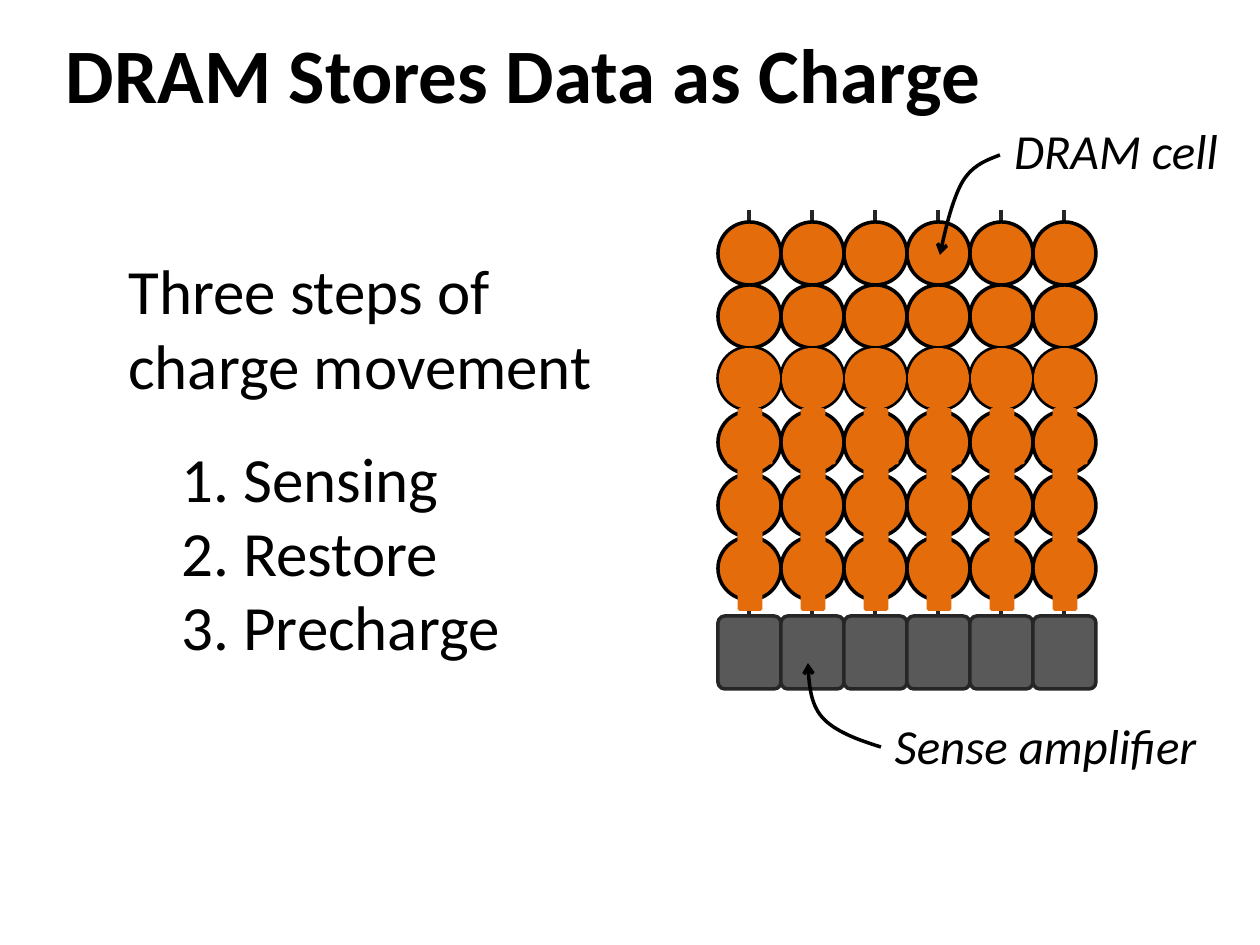
import pptx
import pptx.util
import pptx.dml.color
import pptx.enum.shapes
import pptx.enum.text
import pptx.oxml
import pptx.oxml.ns

SCALE = 914400 / 126
COLS, ROWS, PITCH = 6, 6, 63
LEFT, TOP = 718, 222
MID = LEFT + PITCH // 2
BLACK, EDGE, GRAY, ORANGE, WHITE = "000000", "262626", "595959", "E46C0A", "FFFFFF"
KIND = pptx.enum.shapes.MSO_SHAPE
ALIGN = pptx.enum.text.PP_ALIGN
ANCHOR = pptx.enum.text.MSO_ANCHOR


def px(value):
    return round(value * SCALE)


def color(code):
    return pptx.dml.color.RGBColor.from_string(code)


def assign(item, values):
    for key, value in values.items():
        setattr(item, key, value)


def place(item, box):
    assign(item, dict(zip(("left", "top", "width", "height"), map(px, box))))


def stroke(line, code):
    line.color.rgb = color(code)
    line.width = pptx.util.Pt(2)


def shape(slide, kind, box, fill, edge=None, adjust=(), turn=0):
    item = slide.shapes.add_shape(kind, *map(px, box))
    item.shadow.inherit = False
    item.rotation = turn
    for index, value in enumerate(adjust):
        item.adjustments[index] = value
    item.fill.solid()
    item.fill.fore_color.rgb = color(fill)
    if edge:
        stroke(item.line, edge)
    else:
        item.line.fill.background()


def wire(slide, x, start, end):
    item = slide.shapes.add_connector(
        pptx.enum.shapes.MSO_CONNECTOR.STRAIGHT, px(x), px(start), px(x), px(end))
    stroke(item.line, EDGE)
    pptx.oxml.ns.qn("a:effectLst")
    item._element.spPr.append(pptx.oxml.parse_xml(
        '<a:effectLst xmlns:a="http://schemas.openxmlformats.org/drawingml/2006/main"/>'))


def bezier(points, steps=16):
    for step in range(1, steps + 1):
        t = step / steps
        weights = ((1 - t) ** 3, 3 * t * (1 - t) ** 2, 3 * t * t * (1 - t), t ** 3)
        yield tuple(round(sum(w * p[axis] for w, p in zip(weights, points)) * SCALE)
                    for axis in (0, 1))


def pointer(slide, points):
    build = slide.shapes.build_freeform(*map(px, points[0]))
    for start in range(0, len(points) - 1, 3):
        build.add_line_segments(list(bezier(points[start:start + 4])), close=False)
    item = build.convert_to_shape()
    item.shadow.inherit = False
    item.fill.background()
    stroke(item.line, BLACK)
    item.line._get_or_add_ln().append(pptx.oxml.parse_xml(
        '<a:tailEnd xmlns:a="http://schemas.openxmlformats.org/drawingml/2006/main"'
        ' type="arrow"/>'))


def write(item, words, size, frame, para, font):
    text = item.text_frame
    text.text = words
    assign(text, {"word_wrap": True, "vertical_anchor": ANCHOR.MIDDLE,
                  "auto_size": pptx.enum.text.MSO_AUTO_SIZE.NONE, **frame})
    first = text.paragraphs[0]
    assign(first, para)
    run = first.runs[0].font
    assign(run, {"name": "Calibri", "size": pptx.util.Pt(size), **font})
    run.color.rgb = color(BLACK)


def label(slide, words, box, size=36, para=None, font=None):
    item = slide.shapes.add_textbox(*map(px, box))
    write(item, words, size, {}, para or {}, font or {})


def callout(slide, words, box, points):
    label(slide, words, box, 28, {"alignment": ALIGN.CENTER}, {"italic": True})
    pointer(slide, points)


def array(slide):
    xs = [LEFT + PITCH * col for col in range(COLS)]
    ys = [TOP + PITCH * row for row in range(ROWS)]
    for x in xs:
        shape(slide, KIND.OVAL, (x, ys[2] - 1, PITCH, PITCH), WHITE, BLACK)
    for col, x in enumerate(xs):
        wire(slide, MID + PITCH * col, 616, 210)
        shape(slide, KIND.ROUNDED_RECTANGLE, (x, 616, PITCH, 73), GRAY, EDGE, (0.11,))
    for y in ys[:2] + ys[3:]:
        for x in xs:
            shape(slide, KIND.OVAL, (x, y, PITCH, PITCH), ORANGE, BLACK)
    for x in xs:
        shape(slide, KIND.OVAL, (x + 1, ys[2], 61, 61), ORANGE)
    for turn in (0, 180):
        for x in xs:
            shape(slide, KIND.DOWN_ARROW, (x + 11, 410, 42, 199),
                  ORANGE, ORANGE, (0.5, 1.25), turn)


def main():
    deck = pptx.Presentation()
    assign(deck, {"slide_width": px(1260), "slide_height": px(945)})
    slide = deck.slides.add_slide(deck.slide_layouts[5])
    title = slide.shapes.title
    place(title, (53, 21, 1229, 105))
    write(title, "DRAM Stores Data as Charge", 44, {"vertical_anchor": ANCHOR.BOTTOM},
          {"alignment": ALIGN.LEFT, "line_spacing": 0.9}, {"bold": True})
    array(slide)
    label(slide, "Three steps of charge movement", (116, 231, 542, 192))
    for row, step in enumerate(("Sensing", "Restore", "Precharge")):
        label(slide, f"{row + 1}. {step}", (169, 441 + 74 * row, 425, 73))
    callout(slide, "DRAM cell", (998, 116, 236, 68),
            ((1000, 155), (987, 160), (973, 165), (963, 181),
             (953, 198), (946, 226), (940, 255)))
    callout(slide, "Sense amplifier", (857, 711, 377, 68),
            ((881, 747), (858, 740), (834, 731), (822, 717),
             (810, 703), (809, 683), (808, 663)))
    deck.save("out.pptx")


if __name__ == "__main__":
    main()
